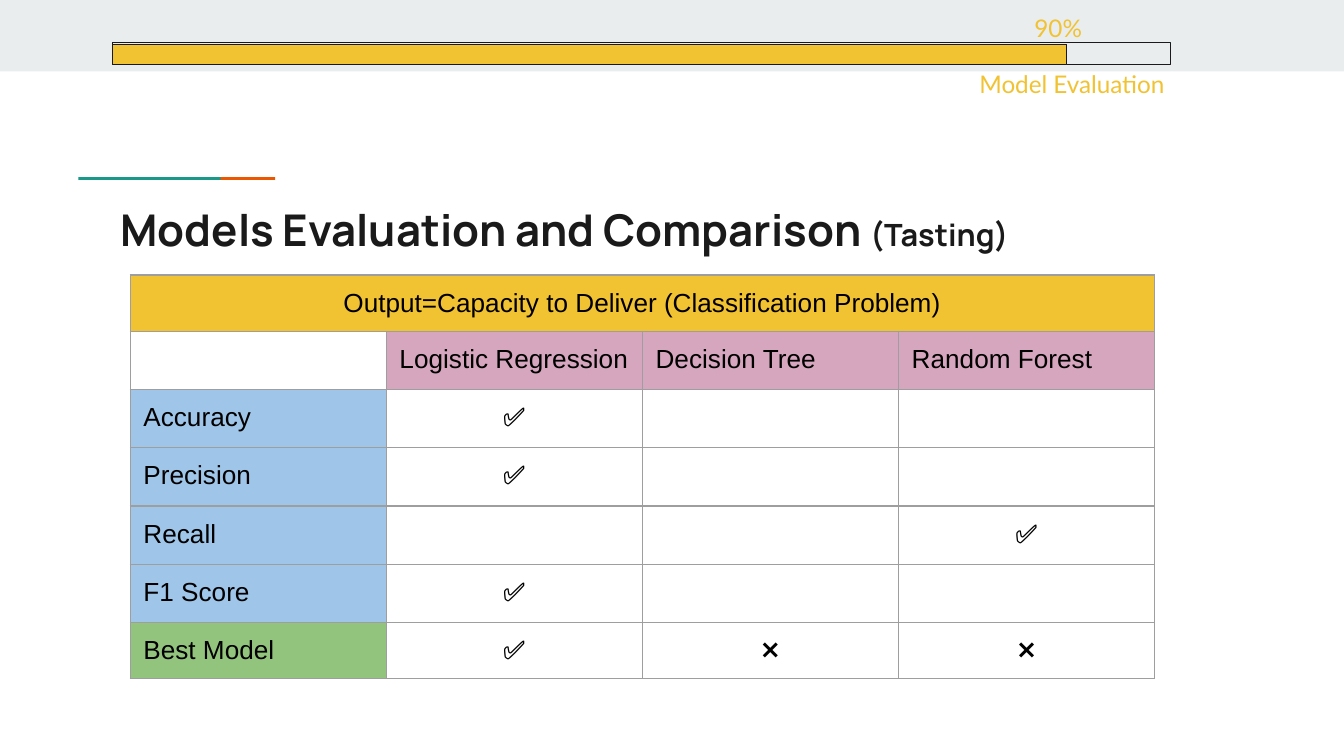
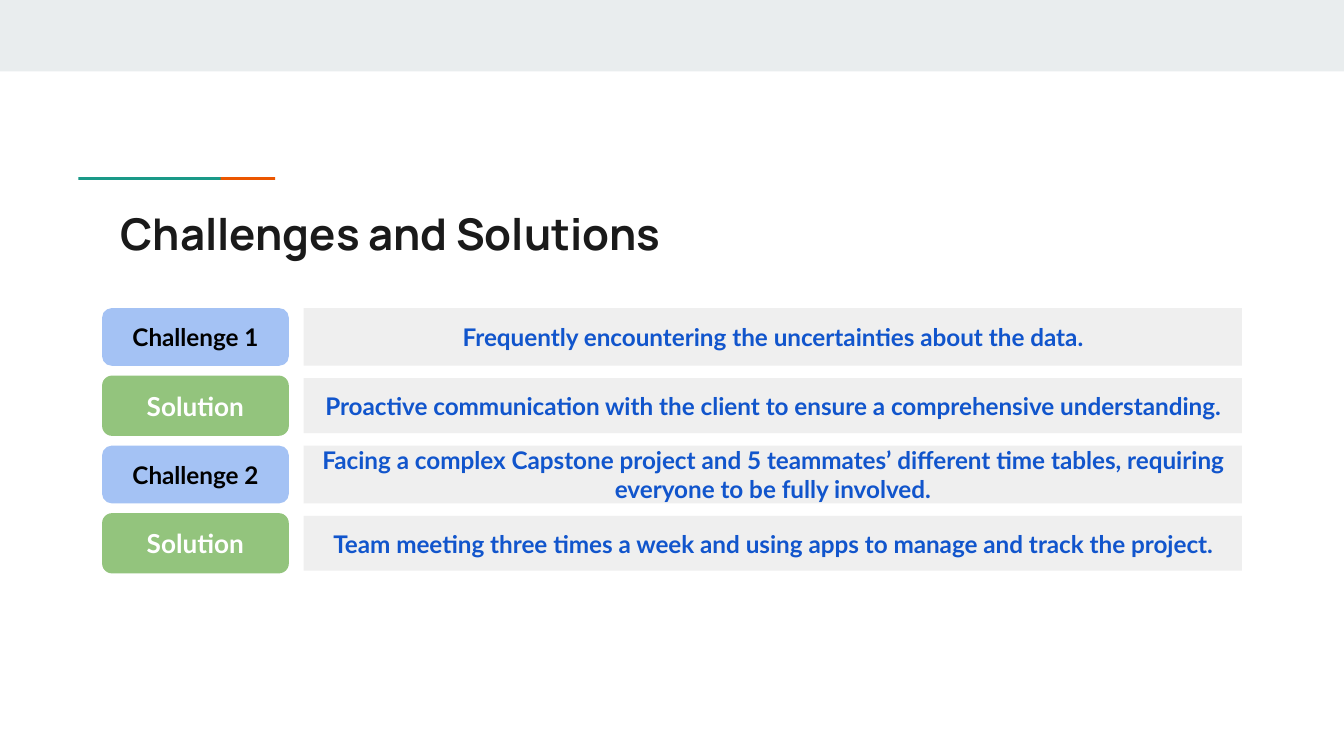
from lxml import etree
from pptx import Presentation
from pptx.dml.color import RGBColor
from pptx.enum.shapes import MSO_CONNECTOR, MSO_SHAPE
from pptx.enum.text import MSO_ANCHOR, MSO_AUTO_SIZE, PP_ALIGN
from pptx.oxml.ns import qn
from pptx.util import Cm, Pt

RECTANGLE, ROUNDED = MSO_SHAPE.RECTANGLE, MSO_SHAPE.ROUNDED_RECTANGLE
STRAIGHT = MSO_CONNECTOR.STRAIGHT
LEFT, CENTER = PP_ALIGN.LEFT, PP_ALIGN.CENTER
TOP, MIDDLE = MSO_ANCHOR.TOP, MSO_ANCHOR.MIDDLE
NO_FIT = MSO_AUTO_SIZE.NONE

BLACK = RGBColor(0x00, 0x00, 0x00)
WHITE = RGBColor(0xFF, 0xFF, 0xFF)
INK = RGBColor(0x1A, 0x1A, 0x1A)
MIST = RGBColor(0xE9, 0xED, 0xEE)
ORANGE = RGBColor(0xEB, 0x56, 0x00)
TEAL = RGBColor(0x1A, 0x99, 0x88)
YELLOW = RGBColor(0xF1, 0xC2, 0x32)
PLUM = RGBColor(0xA6, 0x4D, 0x79)
PINK = RGBColor(0xD5, 0xA6, 0xBD)
SKY = RGBColor(0x9F, 0xC5, 0xE8)
GREEN = RGBColor(0x93, 0xC4, 0x7D)
PERIWINKLE = RGBColor(0xA4, 0xC2, 0xF4)
PALE_GRAY = RGBColor(0xEF, 0xEF, 0xEF)
BORDER_GRAY = RGBColor(0x9E, 0x9E, 0x9E)
BLUE = RGBColor(0x11, 0x55, 0xCC)

TITLE_FONT, BODY_FONT, TABLE_FONT = "Manrope", "Lato", "Arial"
TITLE_AND_BODY, TITLE_ONLY = 1, 5
MARGIN = Cm(0.25)
ROW_HEIGHT = Cm(1.06)
YES, NO = "✅", "❌"

EVALUATION = [
    ["Output=Capacity to Deliver (Classification Problem)", "", "", ""],
    ["", "Logistic Regression", "Decision Tree", "Random Forest"],
    ["Accuracy", YES, "", ""],
    ["Precision", YES, "", ""],
    ["Recall", "", "", YES],
    ["F1 Score", YES, "", ""],
    ["Best Model", YES, NO, NO],
]

CHALLENGES = [
    ("Challenge 1", "Frequently encountering the uncertainties about the data."),
    ("Solution", "Proactive communication with the client to ensure a "
                 "comprehensive understanding."),
    ("Challenge 2", "Facing a complex Capstone project and 5 teammates’ different "
                    "time tables, requiring everyone to be fully involved."),
    ("Solution", "Team meeting three times a week and using apps to manage and "
                 "track the project."),
]


class DeckBuilder:
    def __init__(self):
        self.deck = Presentation()
        self.deck.slide_width, self.deck.slide_height = Cm(25.4), Cm(14.29)
        self.page = None
        self.has_furniture = False

    def add_page(self, layout, title_top, title_spans):
        self.page = self.deck.slides.add_slide(self.deck.slide_layouts[layout])
        if not self.has_furniture:
            self.add_furniture()
        title = self.page.shapes.title
        frame = self.place(title, (2.03, title_top, 21.36, 1.5))
        for text, size in title_spans:
            self.add_span(frame.paragraphs[0], text, TITLE_FONT, size, INK, True)

    def add_furniture(self):
        """Move the top band and accent line to the master, behind its placeholders."""
        tree = self.deck.slide_master.shapes._spTree
        parts = [((0, 0, 25.4, 1.35), MIST),
                 ((2.51, 3.35, 2.69, 0.05), ORANGE),
                 ((1.48, 3.35, 2.69, 0.05), TEAL)]
        for index, (bounds, color) in enumerate(parts):
            element = self.add_box(RECTANGLE, bounds, color)._element
            element.nvSpPr.cNvPr.set("id", str(100 + index))
            tree.insert(2 + index, element)
        self.has_furniture = True

    def place(self, holder, bounds):
        holder.left, holder.top, holder.width, holder.height = map(Cm, bounds)
        frame = holder.text_frame
        self.set_frame(frame, TOP)
        frame.paragraphs[0].alignment = LEFT
        return frame

    def set_frame(self, frame, anchor):
        frame.word_wrap = True
        frame.auto_size = NO_FIT
        frame.vertical_anchor = anchor
        frame.margin_left = frame.margin_right = MARGIN
        frame.margin_top = frame.margin_bottom = MARGIN

    def add_span(self, para, text, font_name, size, color, bold=False):
        span = para.add_run()
        span.text = text
        span.font.name = font_name
        span.font.size = Pt(size)
        span.font.bold = bold
        span.font.color.rgb = color

    def add_box(self, kind, bounds, fill, line=None):
        box = self.page.shapes.add_shape(kind, *map(Cm, bounds))
        box.shadow.inherit = False
        box.fill.solid()
        box.fill.fore_color.rgb = fill
        if line is None:
            box.line.fill.background()
        else:
            box.line.color.rgb = line
            box.line.width = Pt(0.75)
        return box

    def add_text_box(self, kind, bounds, fill, text, size, color):
        box = self.add_box(kind, bounds, fill)
        self.set_frame(box.text_frame, MIDDLE)
        para = box.text_frame.paragraphs[0]
        para.alignment = CENTER
        self.add_span(para, text, BODY_FONT, size, color, True)

    def add_line(self, start, end, color, width):
        line = self.page.shapes.add_connector(STRAIGHT, *map(Cm, start + end))
        line.line.color.rgb = color
        line.line.width = Pt(width)
        etree.SubElement(line._element.spPr, qn("a:effectLst"))

    def add_progress_labels(self, labels):
        """Fill the body placeholder with (text, left indent) lines."""
        frame = self.place(self.page.placeholders[1], (0, -0.08, 23.52, 3.76))
        for index, (text, indent) in enumerate(labels):
            para = frame.add_paragraph() if index else frame.paragraphs[0]
            properties = para._p.get_or_add_pPr()
            properties.set("marL", str(Cm(indent)))
            properties.set("indent", "0")
            etree.SubElement(properties, qn("a:buNone"))
            para.alignment = LEFT
            para.line_spacing = 1.15
            para.space_before = Pt(12 if index else 0)
            self.add_span(para, text, BODY_FONT, 13, YELLOW)

    def add_table(self, left, top, column_width, rows, fill_for):
        columns = len(rows[0])
        frame = self.page.shapes.add_table(
            len(rows), columns, Cm(left), Cm(top),
            Cm(column_width * columns), ROW_HEIGHT * len(rows))
        table = frame.table
        table.first_row = table.horz_banding = False
        for column in table.columns:
            column.width = Cm(column_width)
        for row_index, texts in enumerate(rows):
            table.rows[row_index].height = ROW_HEIGHT
            for column_index, text in enumerate(texts):
                cell = table.cell(row_index, column_index)
                centered = row_index == 0 or text in (YES, NO)
                self.fill_cell(cell, text, fill_for(row_index, column_index), centered)
        table.cell(0, 0).merge(table.cell(0, columns - 1))

    def fill_cell(self, cell, text, fill, centered):
        cell.margin_left = cell.margin_right = MARGIN
        cell.margin_top = cell.margin_bottom = MARGIN
        properties = cell._tc.get_or_add_tcPr()
        for side in ("lnL", "lnR", "lnT", "lnB"):
            border = etree.SubElement(properties, qn(f"a:{side}"), w=str(Pt(0.75)))
            solid = etree.SubElement(border, qn("a:solidFill"))
            etree.SubElement(solid, qn("a:srgbClr"), val=str(BORDER_GRAY))
        if fill is None:
            cell.fill.background()
        else:
            cell.fill.solid()
            cell.fill.fore_color.rgb = fill
        para = cell.text_frame.paragraphs[0]
        para.alignment = CENTER if centered else LEFT
        if text:
            self.add_span(para, text, TABLE_FONT, 14, BLACK)
        else:
            etree.SubElement(para._p, qn("a:endParaRPr"), sz="1400")


def evaluation_fill(row, column):
    if row == 0:
        return YELLOW
    if row == 1:
        return PINK if column else None
    if column:
        return None
    return GREEN if row == len(EVALUATION) - 1 else SKY


def build_evaluation(builder):
    builder.add_page(TITLE_AND_BODY, 3.58,
                     [("Models Evaluation and Comparison ", 23.4), ("(Tasting)", 16.4)])
    builder.add_table(2.46, 5.2, 4.84, EVALUATION, evaluation_fill)
    builder.add_box(RECTANGLE, (2.13, 0.81, 19.99, 0.41), MIST, INK)
    builder.add_line((20.14, 0.84), (20.14, 1.22), PLUM, 1.5)
    builder.add_box(RECTANGLE, (2.13, 0.84, 18.03, 0.38), YELLOW, INK)
    builder.add_progress_labels([("90%", 19.3), ("Model Evaluation", 18.26)])


def build_challenges(builder):
    builder.add_page(TITLE_ONLY, 3.66, [("Challenges and Solutions", 23.4)])
    for index, (label, text) in enumerate(CHALLENGES):
        middle = 6.37 + 1.3 * index
        if label == "Solution":
            fill, color, size, label_height, text_height = GREEN, WHITE, 14, 1.14, 1.04
        else:
            fill, color, size, label_height, text_height = PERIWINKLE, BLACK, 13, 1.09, 1.09
        builder.add_text_box(ROUNDED, (1.93, middle - label_height / 2, 3.53, label_height),
                             fill, label, size, color)
        builder.add_text_box(RECTANGLE, (5.74, middle - text_height / 2, 17.73, text_height),
                             PALE_GRAY, text, 13, BLUE)


def main():
    builder = DeckBuilder()
    build_evaluation(builder)
    build_challenges(builder)
    builder.deck.save("out.pptx")


if __name__ == "__main__":
    main()
